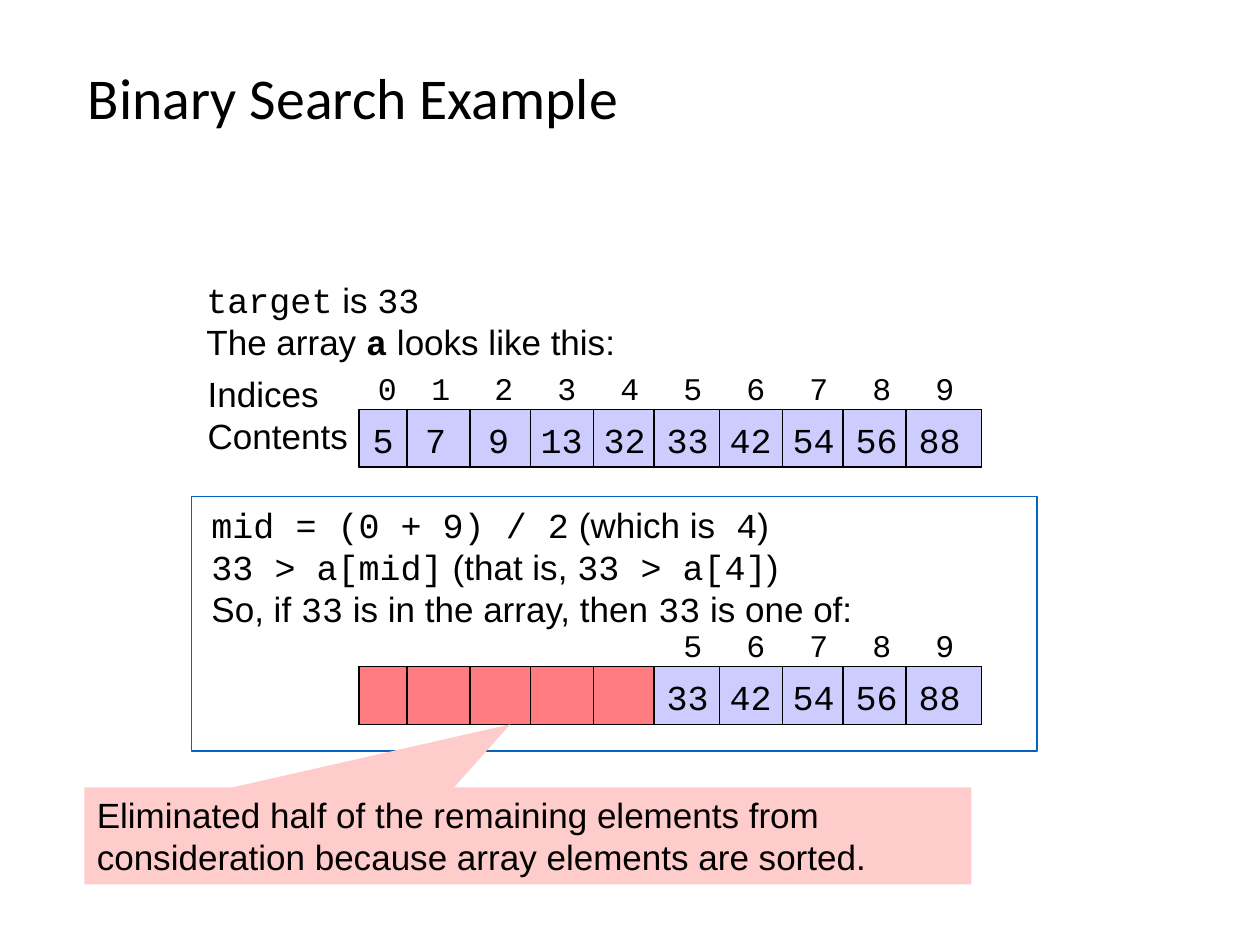
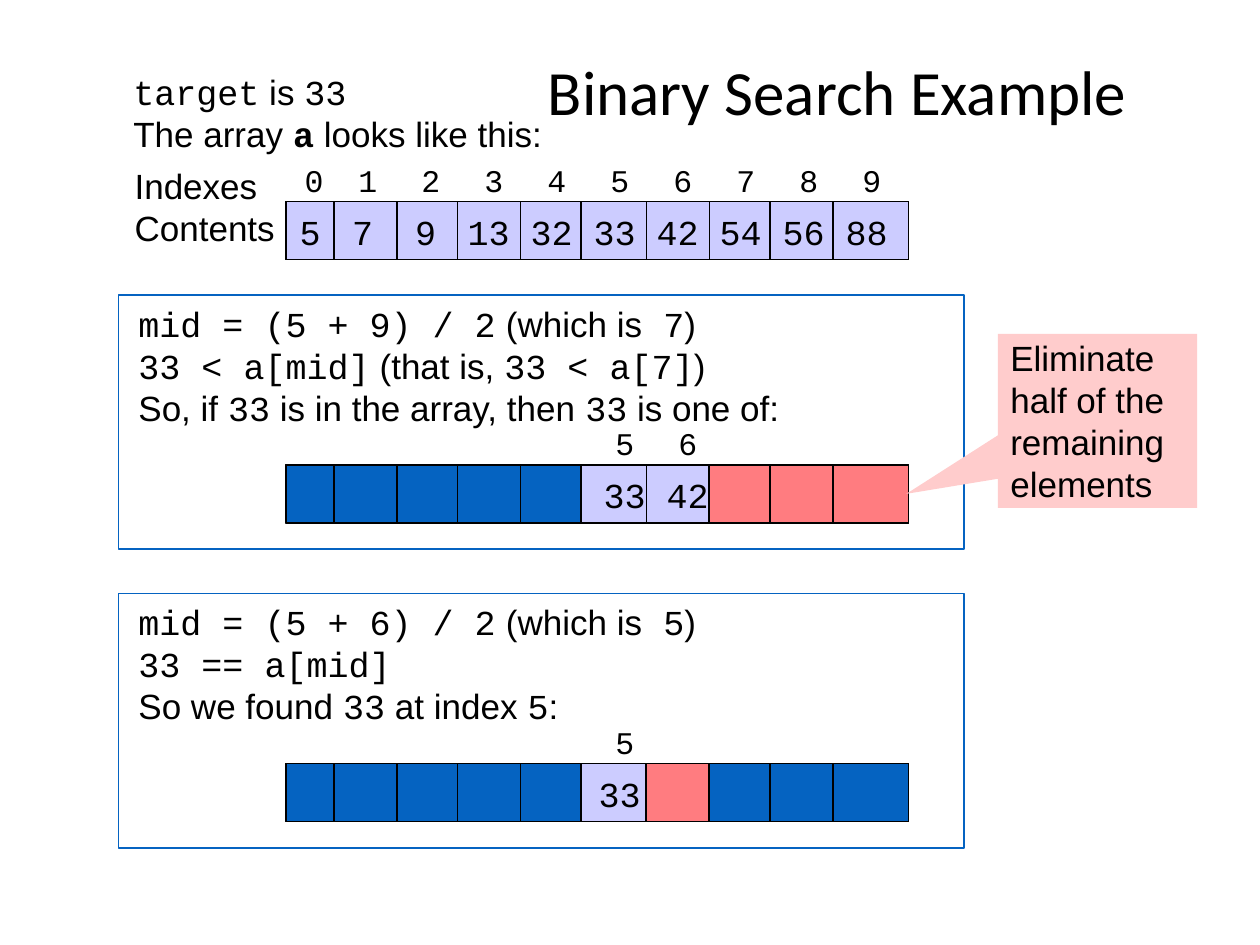
"""Build two slides that trace a binary search through a sorted array."""
from dataclasses import dataclass
from typing import Any, Optional

from lxml.etree import SubElement
from pptx import Presentation
from pptx.dml.color import RGBColor
from pptx.enum.shapes import MSO_CONNECTOR, MSO_SHAPE
from pptx.enum.text import MSO_ANCHOR
from pptx.oxml.ns import qn
from pptx.slide import Slide
from pptx.util import Inches, Pt

WIDTH, HEIGHT = Inches(10), Inches(7.5)
COLS, ROWS = 100, 75
BLACK, BLUE, KEPT, DROPPED, CALLOUT = "000000", "0563C1", "CCCCFF", "FF7C80", "FFCCCC"
SANS, MONO, TITLE = "Arial", "Courier New", "Calibri"
VALUES = [5, 7, 9, 13, 32, 33, 42, 54, 56, 88]
EDGES = [0, 3.8, 8.8, 13.6, 18.6, 23.4, 28.6, 33.6, 38.4, 43.4, 49.4]
CELL_H, TAB = 4.6, 5
PANEL_W, PANEL_H = 67.1, 20.2
STRIP_DX, STRIP_DY = 13.3, 13.5


@dataclass(frozen=True)
class Box:
    """Hold a rectangle in grid columns and rows."""
    x: float
    y: float
    w: float
    h: float


@dataclass(frozen=True)
class Segment:
    """Colour the array cells from start up to end."""
    start: int
    end: int
    color: str


@dataclass(frozen=True)
class Step:
    """Describe one search step and the array it leaves."""
    top: float
    lines: list[str]
    segments: list[Segment]
    content_dx: float = 0.1
    index_dx: float = 0.5


@dataclass(frozen=True)
class Note:
    """Describe a callout and where its tip points."""
    box: Box
    text: str
    tip: tuple[float, float]


@dataclass(frozen=True)
class Example:
    """Describe a whole slide."""
    title: Box
    title_size: int
    left: float
    strip_top: float
    label: str
    steps: list[Step]
    note: Note


def col(n: float) -> int:
    """Turn grid columns into a length."""
    return round(WIDTH * n / COLS)


def row(n: float) -> int:
    """Turn grid rows into a length."""
    return round(HEIGHT * n / ROWS)


def rgb(color: str) -> RGBColor:
    """Turn a hex string into a colour."""
    return RGBColor.from_string(color)


def place(box: Box) -> tuple[int, int, int, int]:
    """Turn a grid box into slide lengths."""
    return col(box.x), row(box.y), col(box.w), row(box.h)


def apply(target: Any, formats: dict[str, Any]) -> None:
    """Set each format value on the target."""
    for name, value in formats.items():
        setattr(target, name, value)


def write(sp: Any, lines: list[str], size: int = 20, fonts: tuple[str, str] = (SANS, MONO),
          bold: str = "", anchor: MSO_ANCHOR = MSO_ANCHOR.TOP, spacing: float = 1,
          tabbed: bool = False) -> None:
    """Write lines whose backquoted parts use the second font."""
    tf = sp.text_frame
    apply(tf, {"word_wrap": True, "vertical_anchor": anchor, "margin_right": 0})
    for i, line in enumerate(lines):
        p = tf.paragraphs[0] if i == 0 else tf.add_paragraph()
        p.line_spacing = spacing
        if tabbed:
            tabs = SubElement(p._p.get_or_add_pPr(), qn("a:tabLst"))
            for n in range(1, len(VALUES)):
                SubElement(tabs, qn("a:tab"), pos=str(col(n * TAB)), algn="ctr")
        for n, part in enumerate(line.split("`")):
            if part:
                r = p.add_run()
                r.text = part
                apply(r.font, {"name": fonts[n % 2], "size": Pt(size), "bold": part == bold})
                r.font.color.rgb = rgb(BLACK)


def add_text(s: Slide, box: Box, lines: list[str], **formats: Any) -> None:
    """Add a text box."""
    write(s.shapes.add_textbox(*place(box)), lines, **formats)


def add_box(s: Slide, box: Box, fill: Optional[str] = None, line: Optional[str] = BLACK,
            kind: MSO_SHAPE = MSO_SHAPE.RECTANGLE) -> Any:
    """Add a flat shape with an optional fill and outline."""
    sp = s.shapes.add_shape(kind, *place(box))
    sp.shadow.inherit = False
    if fill:
        sp.fill.solid()
        sp.fill.fore_color.rgb = rgb(fill)
    else:
        sp.fill.background()
    if line:
        sp.line.color.rgb = rgb(line)
        sp.line.width = Pt(1)
    else:
        sp.line.fill.background()
    return sp


def add_divider(s: Slide, x: float, y: float) -> None:
    """Add the line between two array cells."""
    c = s.shapes.add_connector(MSO_CONNECTOR.STRAIGHT, col(x), row(y), col(x), row(y + CELL_H))
    c.line.color.rgb = rgb(BLACK)
    c.line.width = Pt(1)
    SubElement(c._element.spPr, qn("a:effectLst"))


def add_array(s: Slide, x: float, y: float, segments: list[Segment],
              content_dx: float = 0.1, index_dx: float = 0.5) -> None:
    """Draw the array with values and indices on the kept cells."""
    for seg in segments:
        start, end = EDGES[seg.start], EDGES[seg.end]
        add_box(s, Box(x + start, y, end - start, CELL_H), seg.color)
    add_box(s, Box(x, y, EDGES[-1], CELL_H))
    for edge in EDGES[1:-1]:
        add_divider(s, x + edge, y)
    kept = next(seg for seg in segments if seg.color == KEPT)
    cells = range(kept.start, kept.end)
    rows = [(content_dx, 0.2, 4.4, 20, [VALUES[i] for i in cells]),
            (index_dx, -3.7, 4, 18, cells)]
    for dx, dy, h, size, items in rows:
        text = "\t" * kept.start + "\t".join(map(str, items))
        add_text(s, Box(x + dx, y + dy, 48.6, h), [text],
                 size=size, fonts=(MONO, MONO), tabbed=True)


def add_step(s: Slide, left: float, step: Step) -> None:
    """Draw a framed search step."""
    add_text(s, Box(left + 0.6, step.top + 0.1, 53.1, 11), step.lines)
    add_array(s, left + STRIP_DX, step.top + STRIP_DY, step.segments,
              step.content_dx, step.index_dx)
    add_box(s, Box(left, step.top, PANEL_W, PANEL_H), line=BLUE)


def add_note(s: Slide, note: Note) -> None:
    """Draw the callout."""
    sp = add_box(s, note.box, CALLOUT, None, MSO_SHAPE.RECTANGULAR_CALLOUT)
    for i, value in enumerate(note.tip):
        sp.adjustments[i] = value
    write(sp, [note.text], anchor=MSO_ANCHOR.MIDDLE)
    for p in sp.text_frame.paragraphs:
        p.alignment = 1


def add_example(prs: Any, ex: Example) -> None:
    """Add one slide of the example."""
    s = prs.slides.add_slide(prs.slide_layouts[6])
    x, y = ex.left + STRIP_DX, ex.strip_top
    add_array(s, x, y, [Segment(0, len(VALUES), KEPT)])
    add_text(s, Box(x - 13, y - 3.4, 14, 7.7), [ex.label, "Contents"])
    add_text(s, Box(x - 13.1, y - 10.9, 34.4, 7.7),
             ["`target` is `33`", "The array `a` looks like this:"], bold="a")
    add_text(s, ex.title, ["Binary Search Example"], size=ex.title_size,
             fonts=(TITLE, MONO), anchor=MSO_ANCHOR.MIDDLE, spacing=0.9)
    for step in ex.steps:
        add_step(s, ex.left, step)
    add_note(s, ex.note)


ONE_OF = "So, if `33` is in the array, then `33` is one of:"
EXAMPLES = [
    Example(
        Box(6, 2.5, 87.7, 11), 33, 15.2, 32.5, "Indices",
        [Step(39.4, ["`mid = (0 + 9) / 2` (which is` 4`)",
                     "`33 > a[mid]` (that is, `33 > a[4]`)", ONE_OF],
              [Segment(0, 5, DROPPED), Segment(5, 10, KEPT)])],
        Note(Box(6.7, 62.5, 70.4, 7.7),
             "Eliminated half of the remaining elements from consideration "
             "because array elements are sorted.", (-0.02, -1.15))),
    Example(
        Box(42.5, 4.2, 54.6, 6.7), 36, 9.4, 16, "Indexes",
        [Step(47.1, ["`mid = (5 + 6) / 2` (which is` 5`)", "`33 == a[mid]`",
                     "So we found `33` at index `5`:"],
              [Segment(0, 5, BLUE), Segment(5, 6, KEPT), Segment(6, 7, DROPPED),
               Segment(7, 10, BLUE)], 0.5, 0.9),
         Step(23.4, ["`mid = (5 + 9) / 2` (which is` 7`)",
                     "`33 < a[mid]` (that is, `33 < a[7]`)", ONE_OF],
              [Segment(0, 5, BLUE), Segment(5, 7, KEPT), Segment(7, 10, DROPPED)], 0.9, 0.9)],
        Note(Box(79.2, 26.5, 15.8, 13.8), "Eliminate half of the remaining elements",
             (-0.96, 0.42))),
]


def main() -> None:
    """Build and save the presentation."""
    prs = Presentation()
    apply(prs, {"slide_width": WIDTH, "slide_height": HEIGHT})
    for ex in EXAMPLES:
        add_example(prs, ex)
    prs.save("out.pptx")


if __name__ == "__main__":
    main()
